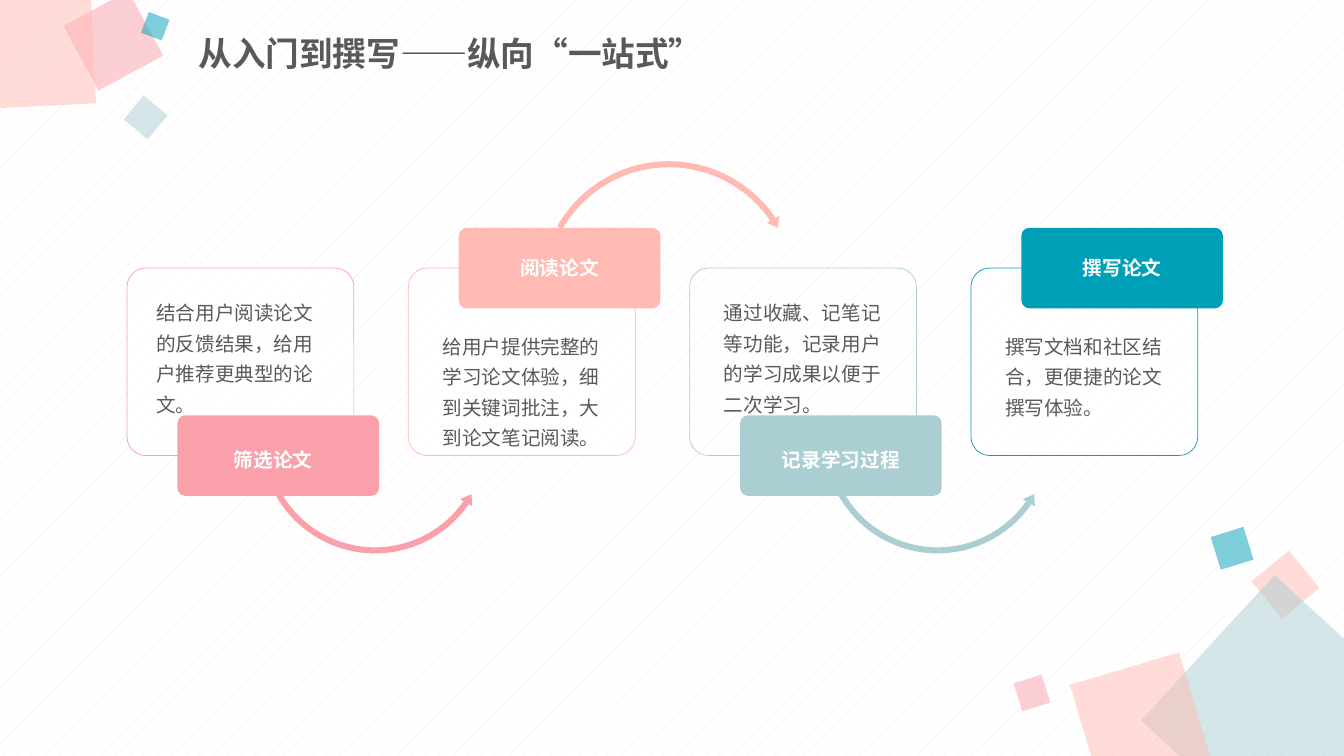
from dataclasses import dataclass

from lxml.etree import SubElement
from pptx import Presentation
from pptx.dml.color import RGBColor
from pptx.enum.dml import MSO_PATTERN
from pptx.enum.lang import MSO_LANGUAGE_ID
from pptx.enum.shapes import MSO_SHAPE
from pptx.enum.text import MSO_ANCHOR, MSO_AUTO_SIZE, PP_ALIGN
from pptx.oxml.ns import qn
from pptx.util import Inches, Pt


@dataclass(frozen=True)
class Theme:
    pink: str = "FAA0AA"
    peach: str = "FFBBB3"
    sage: str = "AACED2"
    teal: str = "009FB8"
    white: str = "FFFFFF"
    text: str = "595959"
    speckle: str = "F5E5E4"
    body_font: str = "Noto Sans CJK SC"
    label_font: str = "TeX Gyre Adventor"
    title_size: int = 24
    body_size: int = 14


theme = Theme()
prs = Presentation()
prs.slide_width, prs.slide_height = Inches(13.33), Inches(7.5)
slide = prs.slides.add_slide(prs.slide_layouts[6])

backdrop = slide.background.fill
backdrop.patterned()
backdrop.pattern = MSO_PATTERN.PERCENT_5
backdrop.fore_color.rgb = RGBColor.from_string(theme.speckle)
backdrop.back_color.rgb = RGBColor.from_string(theme.white)


def add_block(preset, box, fill=None, opacity=100, outline=None, adjustments=(), rotation=0):
    """Draw a preset shape; fill or outline left as None is not drawn."""
    block = slide.shapes.add_shape(preset, *map(Inches, box))
    block.shadow.inherit = False
    block.rotation = rotation
    for index, value in enumerate(adjustments):
        block.adjustments[index] = value
    if fill:
        block.fill.solid()
        block.fill.fore_color.rgb = RGBColor.from_string(fill)
        if opacity < 100:
            color = block.fill._xPr.find(qn("a:solidFill"))[0]
            SubElement(color, qn("a:alpha"), val=str(opacity * 1000))
    else:
        block.fill.background()
    if outline:
        block.line.color.rgb = RGBColor.from_string(outline)
        block.line.width = Pt(0.5)
    else:
        block.line.fill.background()


def add_text(box, words, font_format, paragraph_format, frame_format):
    frame = slide.shapes.add_textbox(*map(Inches, box)).text_frame
    paragraph = frame.paragraphs[0]
    run = paragraph.add_run()
    run.text = words
    font_format = {"language_id": MSO_LANGUAGE_ID.SIMPLIFIED_CHINESE, **font_format}
    color = font_format.pop("color")
    for target, values in (
        (frame, {"word_wrap": True, **frame_format}),
        (paragraph, paragraph_format),
        (run.font, font_format),
    ):
        for key, value in values.items():
            setattr(target, key, value)
    run.font.color.rgb = RGBColor.from_string(color)
    SubElement(run.font._element, qn("a:ea"), typeface=theme.body_font)


# Scattered corner squares: left, top, side, rotation, colour
for left, top, side, rotation, color in (
    (12.51, 5.56, 0.48, 320.6, theme.peach),
    (11.72, 6.11, 1.96, 42.6, theme.sage),
    (10.75, 6.61, 1.13, 343.4, theme.peach),
    (10.09, 6.73, 0.29, 342.8, theme.pink),
    (12.05, 5.27, 0.34, 342.8, theme.teal),
    (0.76, 0.04, 0.73, 331.6, theme.pink),
    (-0.46, -0.32, 1.38, 357.2, theme.peach),
    (1.29, 1.01, 0.31, 309.8, theme.sage),
    (1.43, 0.15, 0.22, 290.5, theme.teal),
):
    add_block(MSO_SHAPE.RECTANGLE, (left, top, side, side), color, 50, rotation=rotation)

title_font = {"name": theme.body_font, "size": Pt(theme.title_size), "bold": True,
              "color": theme.text}
add_text((1.87, 0.26, 6.13, 0.58), "从入门到撰写——纵向“一站式”", title_font,
         {"line_spacing": 0.9, "space_before": Pt(10)},
         {"vertical_anchor": MSO_ANCHOR.MIDDLE})

# Steps alternate: label below the card, then above it
steps = (
    ("筛选论文", "结合用户阅读论文的反馈结果，给用户推荐更典型的论文。", theme.pink),
    ("阅读论文", "给用户提供完整的学习论文体验，细到关键词批注，大到论文笔记阅读。", theme.peach),
    ("记录学习过程", "通过收藏、记笔记等功能，记录用户的学习成果以便于二次学习。", theme.sage),
    ("撰写论文", "撰写文档和社区结合，更便捷的论文撰写体验。", theme.teal),
)
first_left, pitch = 1.26, 2.79
corner = (0.1,)
degree = 0.6  # one degree in adjustment units
arc_width, head_reach = 0.06, 0.07
# Arrow preset, offset from card, top, diameter, then head, end and start angles
low_arc = (MSO_SHAPE.LEFT_CIRCULAR_ARROW, 1.29, 3.19, 2.34, (5.16, 34.75, 150.41))
high_arc = (MSO_SHAPE.CIRCULAR_ARROW, 1.27, 1.56, 2.63, (4.56, 325.85, 209.59))

for index, (label, body, color) in enumerate(steps):
    left = first_left + pitch * index
    label_above = index % 2 == 1
    card_fill = None if index == 2 else theme.white
    add_block(MSO_SHAPE.ROUNDED_RECTANGLE, (left, 2.66, 2.25, 1.86), card_fill, 90,
              color, corner)
    if index < len(steps) - 1:
        preset, offset, arc_top, diameter, angles = high_arc if label_above else low_arc
        add_block(preset, (left + offset, arc_top, diameter, diameter), color,
                  adjustments=(arc_width / diameter, *(angle * degree for angle in angles),
                               head_reach / diameter))
    badge_top = 2.26 if label_above else 4.12
    add_block(MSO_SHAPE.ROUNDED_RECTANGLE, (left + 0.5, badge_top, 2, 0.8), color,
              adjustments=corner)

body_font = {"name": theme.body_font, "size": Pt(theme.body_size), "color": theme.text}
label_font = {"name": theme.label_font, "size": Pt(theme.body_size), "bold": True,
              "color": theme.white}
grow = {"auto_size": MSO_AUTO_SIZE.SHAPE_TO_FIT_TEXT}

for index, (label, body, color) in enumerate(steps):
    text_left = first_left + pitch * index + (0.24 if index else 0.19)
    body_top, label_top = (3.2, 2.42) if index % 2 else (2.87, 4.32)
    body_height = 0.99 if index == 3 else 1.3
    add_text((text_left, body_top, 1.88, body_height), body, body_font,
             {"line_spacing": 1.3}, grow)
    add_text((text_left + 0.32, label_top, 1.88, 0.38), label, label_font,
             {"line_spacing": 1.3, "alignment": PP_ALIGN.CENTER}, grow)

prs.save("out.pptx")
